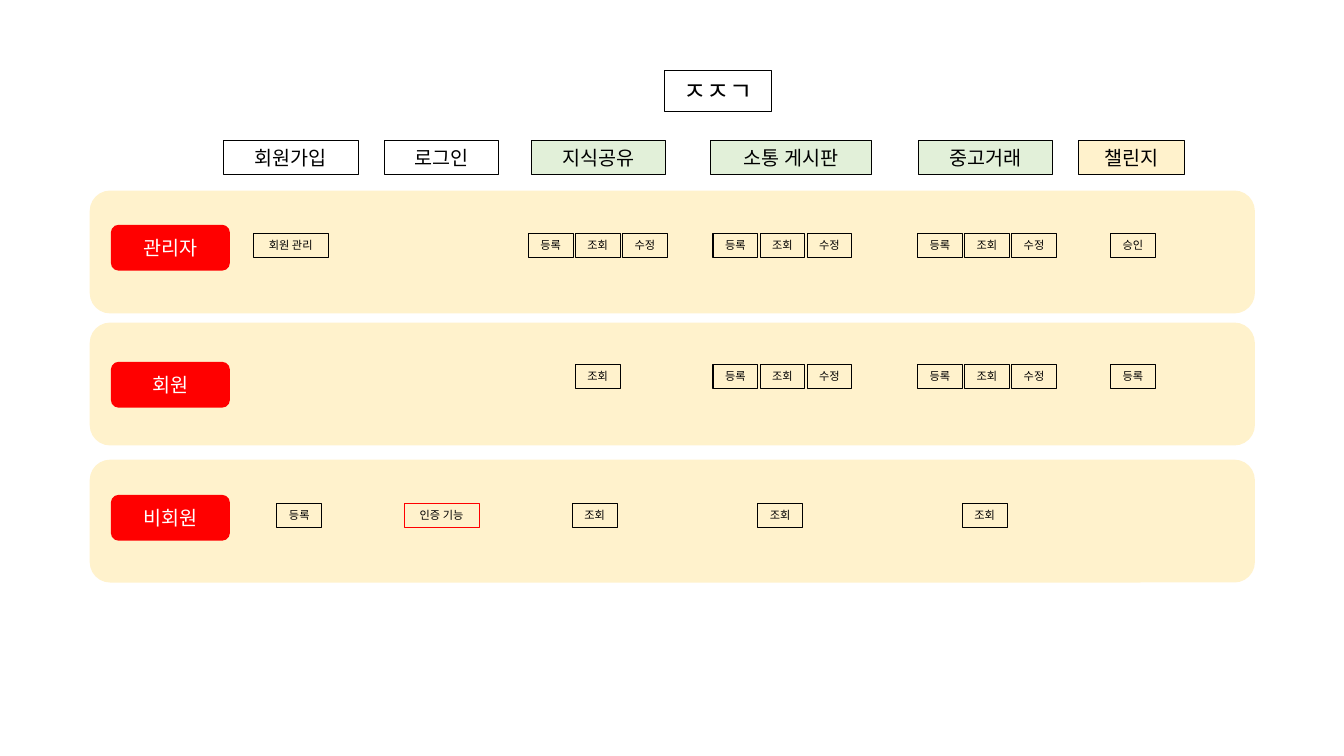
from pptx import Presentation
from pptx.dml.color import RGBColor
from pptx.enum.shapes import MSO_SHAPE as SHAPE
from pptx.enum.text import MSO_ANCHOR, MSO_AUTO_SIZE, PP_ALIGN
from pptx.oxml.ns import qn
from pptx.util import Pt

FONT = "Noto Sans CJK KR"
COLORS = {"black": "000000", "white": "FFFFFF", "red": "FF0000",
          "green": "E2F0D9", "cream": "FFF2CC"}

# Content
TITLE = "ㅈㅈㄱ"
HEADERS = [  # label, left, width, fill
    ("회원가입", 159.8, 96, None),
    ("로그인", 274.3, 82, None),
    ("지식공유", 379.4, 96, "green"),
    ("소통 게시판", 507.6, 115.2, "green"),
    ("중고거래", 655.9, 96, "green"),
    ("챌린지", 770.4, 75.6, "cream"),
]
EDIT = ["등록", "조회", "수정"]
ROLES = [  # role, band top, tag top, chip top, groups of (centre, labels)
    ("관리자", 136.1, 160.6, 166.5,
     [(207.7, ["회원 관리"]), (427, EDIT), (558.9, EDIT), (705, EDIT),
      (809.3, ["승인"])]),
    ("회원", 230.4, 258.5, 260.2,
     [(427, ["조회"]), (558.9, EDIT), (705, EDIT), (809.3, ["등록"])]),
    ("비회원", 328.3, 353.5, 359.6,
     [(213.8, ["등록"]), (315.4, ["인증 기능"]), (424.8, ["조회"]),
      (557.3, ["조회"]), (703.4, ["조회"])]),
]
RED_OUTLINED = {"인증 기능"}

# Layout
BAND_LEFT, BAND_W, BAND_H = 64.1, 832.3, 87.8
TAG_LEFT, TAG_W, TAG_H = 79.2, 85, 32.7
HEADER_TOP, HEADER_H = 100.1, 24.5
CHIP_W, WIDE_CHIP_W, CHIP_H, CHIP_PITCH = 32, 53.6, 17.3, 33.6


def rgb(name):
    return RGBColor.from_string(COLORS[name])


def paint(sp, fill=None, line=None):
    if fill:
        sp.fill.solid()
        sp.fill.fore_color.rgb = rgb(fill)
    else:
        sp.fill.background()
    if line:
        sp.line.color.rgb = rgb(line)
        sp.line.width = Pt(0.75)
    else:
        sp.line.fill.background()


def write(sp, text, size, color="black"):
    tf = sp.text_frame
    tf.auto_size = MSO_AUTO_SIZE.NONE
    tf.word_wrap = False
    tf.vertical_anchor = MSO_ANCHOR.MIDDLE
    tf.margin_top = tf.margin_bottom = 0
    p = tf.paragraphs[0]
    p.alignment = PP_ALIGN.CENTER
    r = p.add_run()
    r.text = text
    r.font.size = Pt(size)
    r.font.name = FONT
    r.font.color.rgb = rgb(color)
    # Hangul takes the East Asian typeface
    ea = r.font._element.makeelement(qn("a:ea"), {"typeface": FONT})
    r.font._element.find(qn("a:latin")).addnext(ea)


def add_box(kind, left, top, width, height, fill=None, line=None):
    sp = s.shapes.add_shape(kind, Pt(left), Pt(top), Pt(width), Pt(height))
    sp.shadow.inherit = False
    paint(sp, fill, line)
    return sp


prs = Presentation()
prs.slide_width, prs.slide_height = Pt(960), Pt(540)
s = prs.slides.add_slide(prs.slide_layouts[5])

# Title
title = s.shapes.title
title.left, title.top, title.width, title.height = Pt(474.5), Pt(50.4), Pt(76.5), Pt(29)
paint(title, line="black")
write(title, TITLE, 18)

# Column headers
for label, left, width, fill in HEADERS:
    sp = add_box(SHAPE.RECTANGLE, left, HEADER_TOP, width, HEADER_H, fill, "black")
    write(sp, label, 14)

# Role bands with their tags and function chips
for role, band_top, tag_top, chip_top, groups in ROLES:
    add_box(SHAPE.ROUNDED_RECTANGLE, BAND_LEFT, band_top, BAND_W, BAND_H, "cream")
    tag = add_box(SHAPE.ROUNDED_RECTANGLE, TAG_LEFT, tag_top, TAG_W, TAG_H, "red")
    write(tag, role, 14, "white")
    for centre, labels in groups:
        for i, label in enumerate(labels):
            width = WIDE_CHIP_W if len(label) > 2 else CHIP_W
            left = centre + (i - (len(labels) - 1) / 2) * CHIP_PITCH - width / 2
            line = "red" if label in RED_OUTLINED else "black"
            chip = add_box(SHAPE.RECTANGLE, left, chip_top, width, CHIP_H, line=line)
            write(chip, label, 8)

prs.save("out.pptx")
